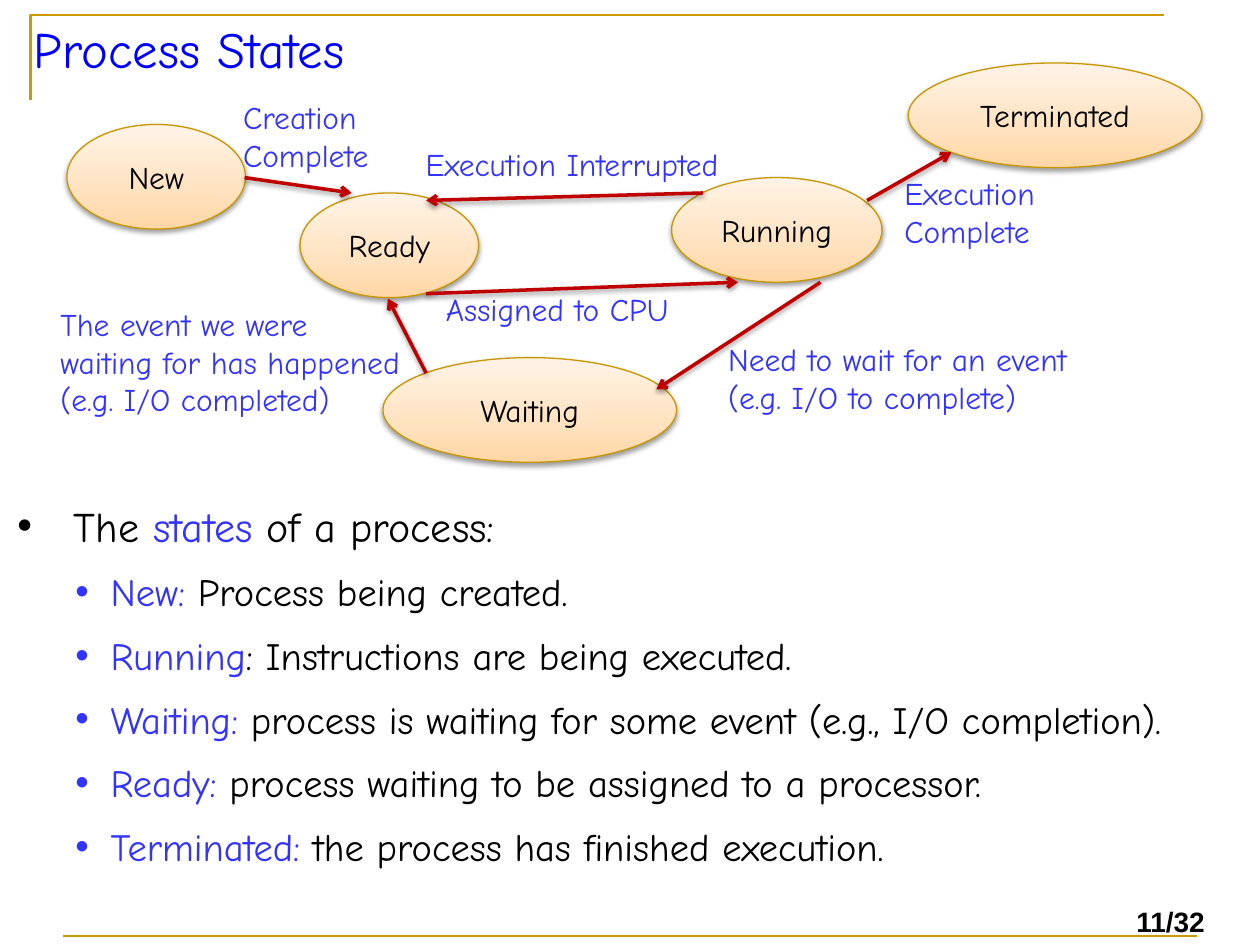
import dataclasses

import pptx
import pptx.dml.color
import pptx.enum.shapes
import pptx.enum.text
import pptx.oxml
import pptx.oxml.ns
import pptx.util

Cm = pptx.util.Cm
Pt = pptx.util.Pt
ALIGN = pptx.enum.text.PP_ALIGN
ANCHOR = pptx.enum.text.MSO_ANCHOR
NAMESPACE = pptx.oxml.ns.nsdecls("a")


@dataclasses.dataclass(frozen=True)
class Theme:
    font: str = "Comic Neue"
    number_font: str = "Arial"
    black: str = "000000"
    title: str = "0000FF"
    accent: str = "3333FF"
    frame: str = "CC9900"
    outline: str = "C89600"
    arrow: str = "C00000"
    gradient: tuple = ((0, "FFD6A5"), (35, "FFE2BF"), (100, "FFF3E7"))
    title_size: int = 29
    lead_size: int = 24
    item_size: int = 22
    label_size: int = 18
    number_size: int = 16


THEME = Theme()


def rgb(value):
    return pptx.dml.color.RGBColor.from_string(value)


def add_span(para, text, size=THEME.label_size, color=THEME.black, font=THEME.font, bold=False):
    span = para.add_run()
    span.text = text
    span.font.size = Pt(size)
    span.font.name = font
    span.font.bold = bold
    span.font.color.rgb = rgb(color)


class StatePage:
    def __init__(self, page, theme):
        self.page = page
        self.theme = theme

    def stroke(self, line, color, width):
        line.color.rgb = rgb(color)
        line.width = Pt(width)

    def shadow(self, shape):
        shape.element.spPr.append(pptx.oxml.parse_xml(
            f'<a:effectLst {NAMESPACE}><a:outerShdw blurRad="{Pt(3.1)}" dist="{Pt(1.6)}" '
            f'dir="5400000" rotWithShape="0"><a:srgbClr val="{self.theme.black}">'
            '<a:alpha val="38000"/></a:srgbClr></a:outerShdw></a:effectLst>'))

    def corner(self, points):
        start, *rest = [(Cm(x), Cm(y)) for x, y in points]
        builder = self.page.shapes.build_freeform(*start)
        builder.add_line_segments(rest, close=False)
        shape = builder.convert_to_shape()
        shape.shadow.inherit = False
        shape.fill.background()
        self.stroke(shape.line, self.theme.frame, 1.5)

    def connector(self, start, end, color, width):
        line = self.page.shapes.add_connector(
            pptx.enum.shapes.MSO_CONNECTOR.STRAIGHT, *map(Cm, start + end))
        self.stroke(line.line, color, width)
        return line

    def rule(self, start, end):
        line = self.connector(start, end, self.theme.frame, 1.5)
        line.element.spPr.append(pptx.oxml.parse_xml(f"<a:effectLst {NAMESPACE}/>"))

    def arrow(self, start, end):
        line = self.connector(start, end, self.theme.arrow, 2)
        line.get_or_add_ln().append(pptx.oxml.parse_xml(f'<a:tailEnd {NAMESPACE} type="arrow"/>'))
        self.shadow(line)

    def state(self, name, left, top, width, height=2.11):
        shape = self.page.shapes.add_shape(
            pptx.enum.shapes.MSO_SHAPE.OVAL, Cm(left), Cm(top), Cm(width), Cm(height))
        stops = "".join(f'<a:gs pos="{place * 1000}"><a:srgbClr val="{color}"/></a:gs>'
                        for place, color in self.theme.gradient)
        shape.element.spPr.insert(2, pptx.oxml.parse_xml(
            f'<a:gradFill {NAMESPACE} rotWithShape="1"><a:gsLst>{stops}</a:gsLst>'
            '<a:lin ang="16200000" scaled="0"/></a:gradFill>'))
        self.stroke(shape.line, self.theme.outline, 0.75)
        self.shadow(shape)
        shape.text_frame.vertical_anchor = ANCHOR.MIDDLE
        para = shape.text_frame.paragraphs[0]
        para.alignment = ALIGN.CENTER
        add_span(para, name)

    def box(self, left, top, width, height, wrap=True):
        box = self.page.shapes.add_textbox(Cm(left), Cm(top), Cm(width), Cm(height))
        box.text_frame.word_wrap = wrap
        return box.text_frame

    def text(self, text, place, wrap=True, **style):
        add_span(self.box(*place, wrap=wrap).paragraphs[0], text, **style)

    def bullet(self, para, level, margin, hanging, space, size, spans):
        para.level = level
        para.space_before = Pt(space)
        properties = para._p.get_or_add_pPr()
        properties.set("marL", str(Cm(margin)))
        properties.set("indent", str(-Cm(hanging)))
        for tag in ('buFont typeface="Arial"', 'buChar char="•"'):
            properties.append(pptx.oxml.parse_xml(f"<a:{tag} {NAMESPACE}/>"))
        for text, color in spans:
            add_span(para, text, size=size, color=color)

    def state_list(self, lead, items, place):
        frame = self.box(*place)
        self.bullet(frame.paragraphs[0], 0, 1.14, 1.14, 5, self.theme.lead_size, lead)
        for term, meaning in items:
            spans = ((term, self.theme.accent), (meaning, self.theme.black))
            self.bullet(frame.add_paragraph(), 1, 1.88, 0.71, 10, self.theme.item_size, spans)


STATES = (
    ("New", 1.35, 2.51, 3.6),
    ("Ready", 6.05, 3.89, 3.6),
    ("Running", 13.54, 3.58, 4.24),
    ("Terminated", 18.31, 1.27, 5.92),
    ("Waiting", 7.72, 7.21, 5.92),
)
ARROWS = (
    ((4.93, 3.58), (7.09, 3.89)),
    ((8.59, 7.52), (7.82, 6.02)),
    ((8.59, 5.92), (14.88, 5.69)),
    ((14.17, 3.89), (8.59, 4.04)),
    ((16.54, 5.69), (13.23, 7.85)),
    ((17.48, 4.04), (19.18, 3.07)),
)
LABELS = (
    ("Creation Complete", (4.65, 1.85, 3.6, 1.8)),
    ("Execution Interrupted", (8.33, 2.79, 7.42, 1.02)),
    ("Assigned to CPU", (8.74, 5.72, 7.42, 1.02)),
    ("Need to wait for an event (e.g. I/O to complete)", (14.43, 6.73, 7.42, 2.57)),
    ("The event we were waiting for has happened (e.g. I/O completed)", (0.97, 6.02, 7.42, 3.33)),
    ("Execution Complete", (17.98, 3.38, 3.84, 1.8)),
)
LEAD = (("The ", THEME.black), ("states", THEME.accent), (" of a process:", THEME.black))
ITEMS = (
    ("New: ", "Process being created."),
    ("Running", ": Instructions are being executed."),
    ("Waiting: ", "process is waiting for some event (e.g., I/O completion)."),
    ("Ready: ", "process waiting to be assigned to a processor."),
    ("Terminated: ", "the process has finished execution."),
)


def main():
    deck = pptx.Presentation()
    deck.slide_width, deck.slide_height = Cm(25.4), Cm(19.05)
    page = StatePage(deck.slides.add_slide(deck.slide_layouts[6]), THEME)
    page.corner(((0.61, 2.01), (0.61, 0.3), (23.47, 0.3)))
    page.rule((1.27, 18.87), (24.13, 18.87))
    page.text("11/32", (22.66, 18.11, 2.01, 0.94), wrap=False,
              size=THEME.number_size, font=THEME.number_font, bold=True)
    page.text("Process States", (0.43, 0.23, 22.86, 3.18),
              size=THEME.title_size, color=THEME.title)
    page.state_list(LEAD, ITEMS, (0.1, 9.96, 24.87, 8.1))
    for state in STATES:
        page.state(*state)
    for start, end in ARROWS:
        page.arrow(start, end)
    for text, place in LABELS:
        page.text(text, place, color=THEME.accent)
    deck.save("out.pptx")


if __name__ == "__main__":
    main()
